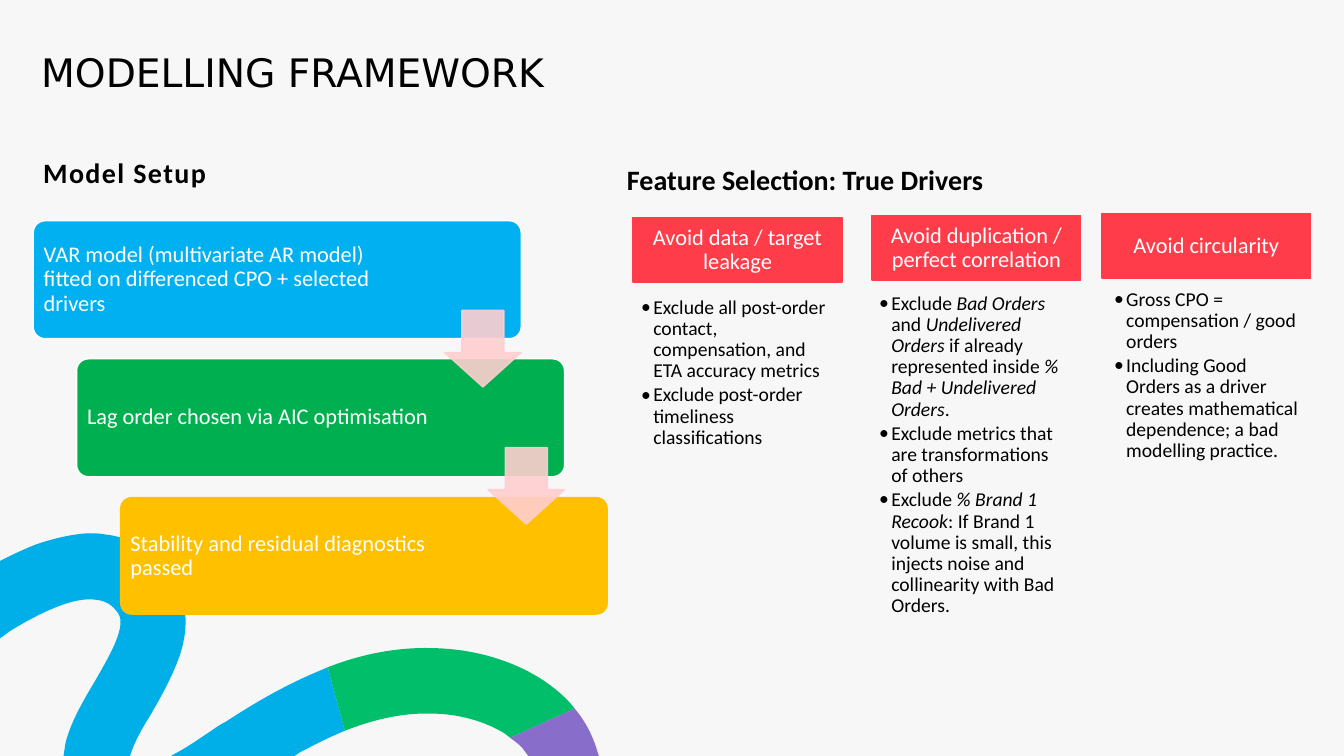
"""Build the modelling framework slide with its setup steps and feature rules."""
from dataclasses import dataclass
from typing import Optional

from lxml import etree
from pptx import Presentation
from pptx.dml.color import RGBColor
from pptx.enum.shapes import MSO_SHAPE as Preset
from pptx.enum.text import MSO_ANCHOR as Anchor, PP_ALIGN as Align
from pptx.oxml.ns import qn
from pptx.util import Inches, Pt

BODY_FONT, TITLE_FONT = "Calibri", "DejaVu Sans"
BLACK, WHITE, RED, PINK = "000000", "FFFFFF", "FF3C4A", "FFCED0"


@dataclass
class Ribbon:
    color: str
    start: tuple[float, float]
    segments: list[tuple[float, ...]]


@dataclass
class Step:
    text: str
    color: str
    outline: Optional[str] = WHITE


@dataclass
class Rule:
    heading: str
    left: float
    top: float
    body_left: float
    body_top: float
    body_height: float
    bullets: list[str]


RIBBONS = [
    Ribbon("00AFE8", (3.25, 6.62), [
        (3.42, 7.25), (3.27, 7.31, 3.12, 7.39, 2.98, 7.46), (2.92, 7.5), (1.7, 7.5),
        (1.71, 7.49), (1.85, 7.42, 1.99, 7.32, 2.11, 7.24),
        (2.15, 7.21, 2.2, 7.18, 2.24, 7.16), (2.59, 6.93, 2.89, 6.77, 3.18, 6.65),
        (3.18, 6.65), (3.2, 6.64, 3.23, 6.63, 3.25, 6.62)]),
    Ribbon("00AFE8", (0.87, 5.29), [
        (0.92, 5.29, 0.98, 5.29, 1.03, 5.3), (1.31, 5.33, 1.54, 5.47, 1.7, 5.71),
        (1.85, 5.93, 1.88, 6.19, 1.79, 6.48), (1.72, 6.69, 1.61, 6.89, 1.5, 7.08),
        (1.42, 7.21, 1.35, 7.33, 1.31, 7.44), (1.29, 7.5), (0.63, 7.5), (0.65, 7.37),
        (0.7, 7.17, 0.82, 6.96, 0.94, 6.76), (1.09, 6.5, 1.26, 6.21, 1.17, 6.08),
        (1.11, 6, 1.05, 5.96, 0.95, 5.95), (0.76, 5.92, 0.46, 6.04, 0.1, 6.26),
        (-0.01, 6.34), (-0.01, 5.57), (0.07, 5.53), (0.17, 5.48, 0.26, 5.44, 0.36, 5.4),
        (0.54, 5.34, 0.71, 5.3, 0.87, 5.29)]),
    Ribbon("00BE6A", (4.29, 6.43), [
        (3.96, 6.42, 3.61, 6.48, 3.25, 6.62), (3.42, 7.25),
        (3.7, 7.14, 3.99, 7.07, 4.28, 7.08), (4.55, 7.08, 4.82, 7.16, 5.01, 7.28),
        (5.06, 7.32), (5.7, 7.03), (5.66, 6.98), (5.36, 6.65, 4.85, 6.44, 4.29, 6.43)]),
    Ribbon("886DCA", (5.7, 7.03), [
        (5.74, 7.08), (5.83, 7.2, 5.89, 7.33, 5.93, 7.47), (5.94, 7.5), (5.24, 7.5),
        (5.18, 7.42), (5.16, 7.4, 5.13, 7.37, 5.1, 7.35), (5.06, 7.32)]),
]
STEPS = [
    Step("VAR model (multivariate AR model) fitted on differenced CPO + selected drivers", "00B0F0"),
    Step("Lag order chosen via AIC optimisation", "00B050"),
    Step("Stability and residual diagnostics passed", "FFC000", None),
]
RULES = [
    Rule("Avoid data / target leakage", 6.28, 2.16, 6.28, 2.87, 1.84, [
        "Exclude all post-order contact, compensation, and ETA accuracy metrics",
        "Exclude post-order timeliness classifications"]),
    Rule("Avoid duplication / perfect correlation", 8.65, 2.14, 8.64, 2.83, 3.5, [
        "Exclude *Bad Orders *and *Undelivered Orders* if already represented inside "
        "*% Bad + Undelivered Orders*.",
        "Exclude metrics that are transformations of others",
        "Exclude *% Brand 1 Recook*: If Brand 1 volume is small, this injects noise "
        "and collinearity with Bad Orders."]),
    Rule("Avoid circularity", 10.93, 2.12, 10.97, 2.79, 2.44, [
        "Gross CPO = compensation / good orders",
        "Including Good Orders as a driver creates mathematical dependence; "
        "a bad modelling practice."]),
]


def rgb(color: str) -> RGBColor:
    return RGBColor.from_string(color)


def paint(shape, fill: str, outline: Optional[str] = None) -> None:
    shape.shadow.inherit = False
    shape.fill.solid()
    shape.fill.fore_color.rgb = rgb(fill)
    if outline:
        shape.line.color.rgb = rgb(outline)
        shape.line.width = Pt(1)
    else:
        shape.line.fill.background()


def set_insets(frame, left: float, top: float, right: float, bottom: float) -> None:
    frame.word_wrap = True
    frame.margin_left, frame.margin_top = Inches(left), Inches(top)
    frame.margin_right, frame.margin_bottom = Inches(right), Inches(bottom)


def style(paragraph, size: float, color: str, font: str = BODY_FONT,
          bold: bool = False, spacing: float = 0.9) -> None:
    paragraph.line_spacing = spacing
    for run in paragraph.runs:
        run.font.size, run.font.name, run.font.bold = Pt(size), font, bold
        run.font.color.rgb = rgb(color)


def add_heading(slide, text: str, box: tuple[float, ...], size: float,
                font: str = BODY_FONT, bold: bool = True, spacing: float = 1.0):
    heading = slide.shapes.add_textbox(*map(Inches, box))
    heading.text_frame.word_wrap = True
    heading.text_frame.text = text
    paragraph = heading.text_frame.paragraphs[0]
    style(paragraph, size, BLACK, font, bold, spacing)
    return paragraph


def add_label(shape, text: str, align: Align, insets: tuple[float, ...]) -> None:
    frame = shape.text_frame
    set_insets(frame, *insets)
    frame.vertical_anchor = Anchor.MIDDLE
    frame.text = text
    frame.paragraphs[0].alignment = align
    style(frame.paragraphs[0], 16, WHITE)


def add_ribbon(slide, ribbon: Ribbon) -> None:
    """Draw every control point as a line, then merge each curve's three into a Bézier."""
    builder = slide.shapes.build_freeform(*map(Inches, ribbon.start))
    for segment in ribbon.segments:
        points = zip(segment[::2], segment[1::2])
        builder.add_line_segments([(Inches(x), Inches(y)) for x, y in points], close=False)
    builder.add_line_segments([], close=True)
    shape = builder.convert_to_shape()
    paint(shape, ribbon.color)
    lines = iter(list(shape.element.spPr.iter(qn("a:lnTo"))))
    for segment in ribbon.segments:
        group = [next(lines) for _ in segment[::2]]
        if len(group) == 3:
            curve = etree.Element(qn("a:cubicBezTo"))
            group[0].addprevious(curve)
            for line in group:
                curve.append(line[0])
                line.getparent().remove(line)


def add_step(slide, index: int, step: Step) -> None:
    box = slide.shapes.add_shape(Preset.ROUNDED_RECTANGLE, Inches(0.33 + 0.43 * index),
                                 Inches(2.19 + 1.37 * index), Inches(4.84), Inches(1.17))
    box.adjustments[0] = 0.1
    paint(box, step.color, step.outline)
    add_label(box, step.text, Align.LEFT, (0.07, 0.07, 1.25, 0.07))


def add_step_arrow(slide, index: int) -> None:
    arrow = slide.shapes.add_shape(Preset.DOWN_ARROW, Inches(4.41 + 0.43 * index),
                                   Inches(3.08 + 1.36 * index), Inches(0.76), Inches(0.76))
    arrow.adjustments[0], arrow.adjustments[1] = 0.55, 0.45
    paint(arrow, PINK, PINK)
    for color in arrow.element.spPr.iter(qn("a:srgbClr")):
        etree.SubElement(color, qn("a:alpha"), val="90000")


def add_rule(slide, rule: Rule) -> None:
    header = slide.shapes.add_shape(Preset.RECTANGLE, Inches(rule.left), Inches(rule.top),
                                    Inches(2.07), Inches(0.64))
    paint(header, RED, RED)
    add_label(header, rule.heading, Align.CENTER, (0.12, 0.07, 0.12, 0.07))
    body = slide.shapes.add_textbox(Inches(rule.body_left), Inches(rule.body_top),
                                    Inches(2.07), Inches(rule.body_height))
    frame = body.text_frame
    set_insets(frame, 0.08, 0.08, 0.11, 0.12)
    for number, bullet in enumerate(rule.bullets):
        paragraph = frame.add_paragraph() if number else frame.paragraphs[0]
        for position, part in enumerate(bullet.split("*")):
            run = paragraph.add_run()
            run.text = part
            run.font.italic = position % 2 == 1
        style(paragraph, 14, BLACK)
        paragraph.level = 1
        paragraph.space_after = Pt(2.1)
        properties = paragraph._p.get_or_add_pPr()
        properties.set("marL", str(Inches(0.12)))
        properties.set("indent", str(Inches(-0.12)))
        etree.SubElement(properties, qn("a:buFont"), typeface=BODY_FONT)
        etree.SubElement(properties, qn("a:buChar"), char="•")


def main() -> None:
    deck = Presentation()
    deck.slide_width, deck.slide_height = Inches(13.33), Inches(7.5)
    slide = deck.slides.add_slide(deck.slide_layouts[6])
    slide.background.fill.solid()
    slide.background.fill.fore_color.rgb = rgb("F7F7F7")
    for ribbon in RIBBONS:
        add_ribbon(slide, ribbon)
    add_heading(slide, "MODELLING FRAMEWORK", (0.31, 0.48, 11.95, 0.8), 28, TITLE_FONT, False, 0.9)
    setup = add_heading(slide, "Model Setup", (0.33, 1.49, 4.26, 3), 20)
    setup.runs[0].font._element.set("spc", "100")
    add_heading(slide, "Feature Selection: True Drivers", (6.12, 1.4, 6.13, 3.18), 20, spacing=1.5)
    for rule in RULES:
        add_rule(slide, rule)
    for index, step in enumerate(STEPS):
        add_step(slide, index, step)
    for index in range(len(STEPS) - 1):
        add_step_arrow(slide, index)
    deck.save("out.pptx")


if __name__ == "__main__":
    main()
